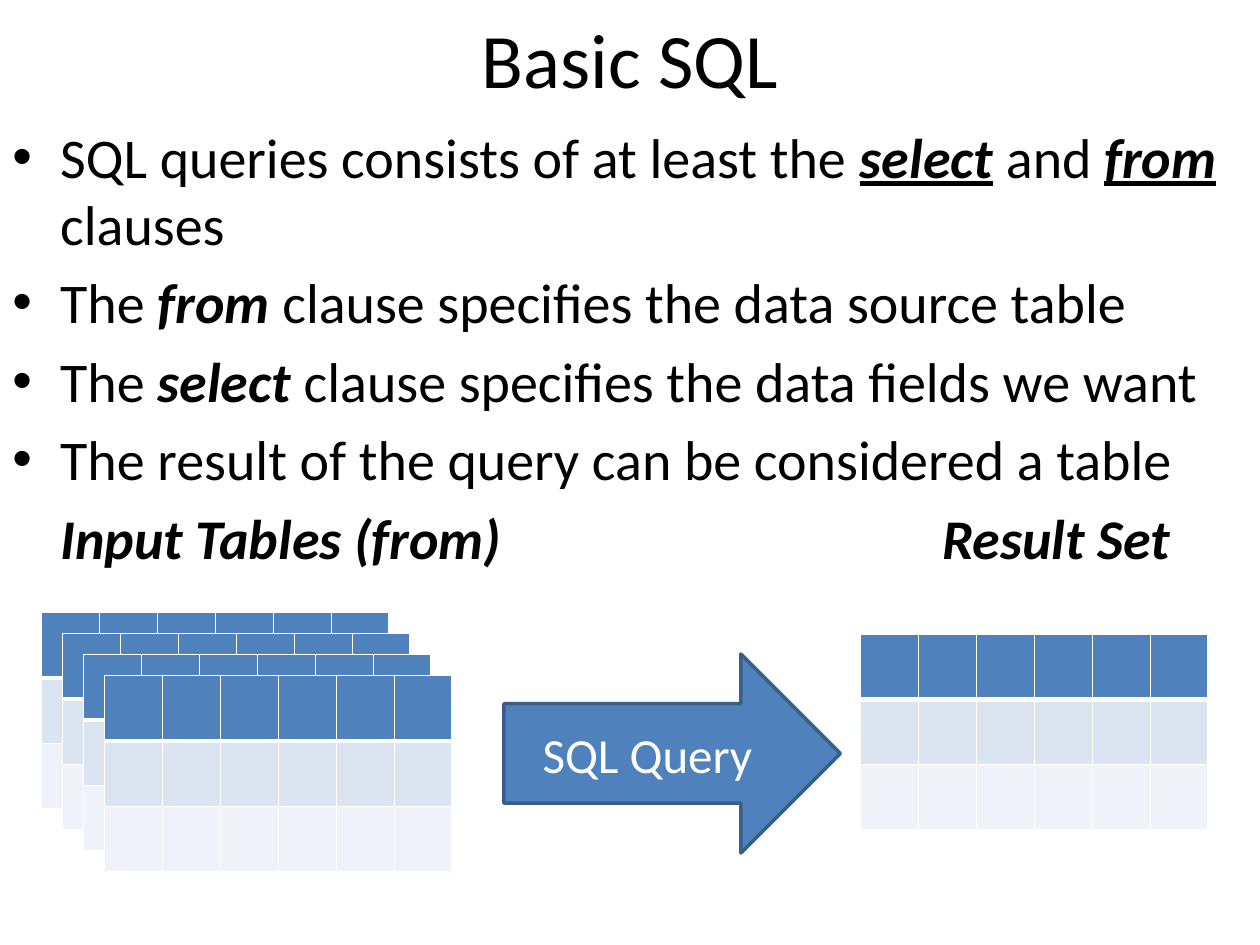
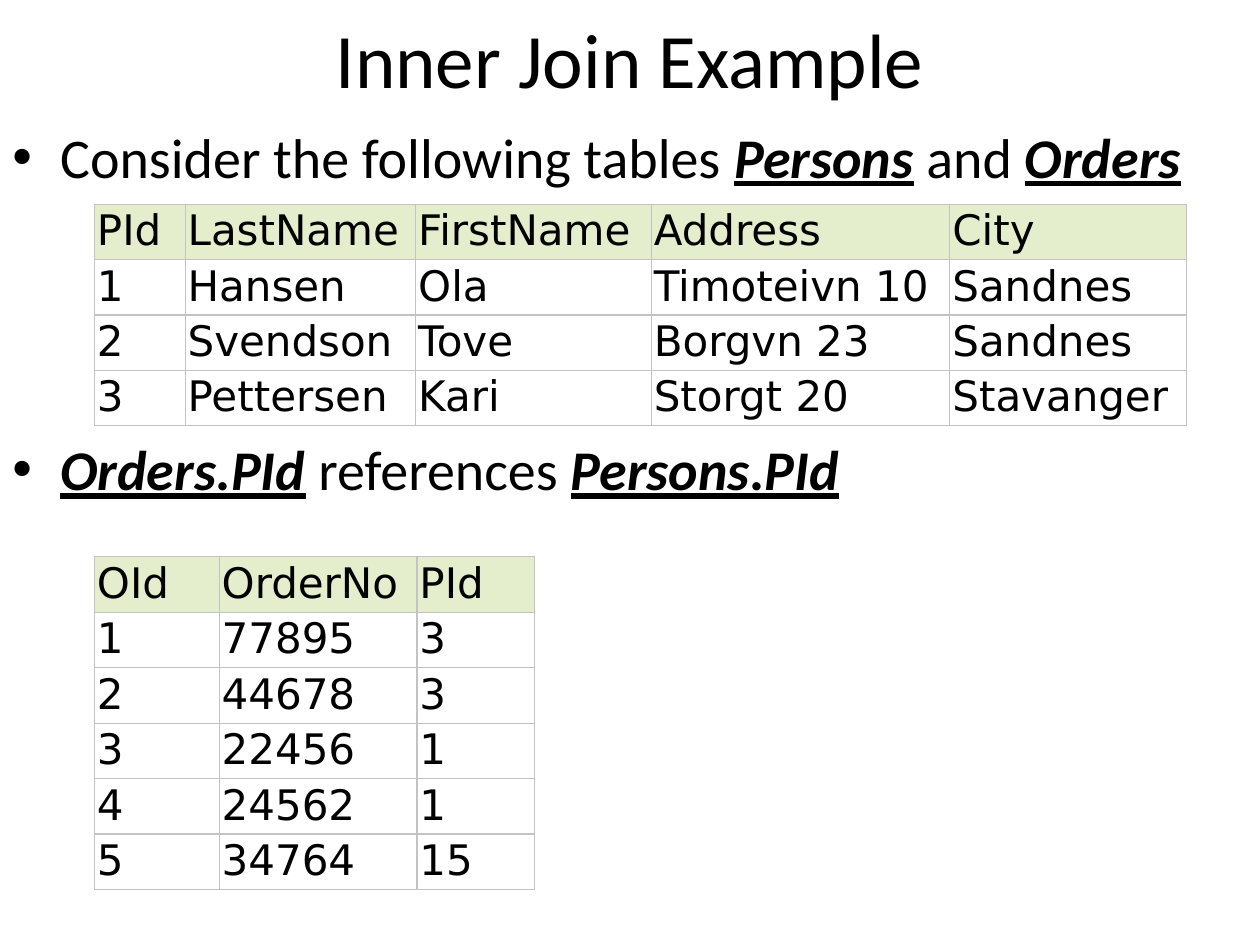
from lxml import etree
from pptx import Presentation
from pptx.dml.color import RGBColor
from pptx.enum.shapes import MSO_SHAPE
from pptx.enum.text import MSO_ANCHOR, PP_ALIGN
from pptx.oxml.ns import qn
from pptx.util import Inches, Pt

RIGHT_ARROW = MSO_SHAPE.RIGHT_ARROW
MIDDLE, TOP = MSO_ANCHOR.MIDDLE, MSO_ANCHOR.TOP
CENTER, LEFT = PP_ALIGN.CENTER, PP_ALIGN.LEFT

COLORS = {"text": "000000", "white": "FFFFFF", "accent": "4F81BD",
          "accent_line": "395E8A", "band": "DBE5F1", "band_light": "EFF3F9",
          "head_green": "E5EECC", "grid": "C3C3C3"}

TITLE_BOX = (0, 0, 10, 0.92)
BODY_BOX = (0, 0.92, 10, 6.58)
INDENT = 0.38
PARA_GAP = 6.4

# Text formats
TITLE = {"size": Pt(44), "name": "Calibri"}
BODY = {"size": Pt(32), "name": "Calibri"}
ARROW = {"size": Pt(28), "name": "Calibri"}
CELL = {"size": Pt(24), "name": "DejaVu Sans"}
STRONG = {"bold": True, "italic": True}
KEY = {**STRONG, "underline": True}

PERSONS = [["PId", "LastName", "FirstName", "Address", "City"],
           ["1", "Hansen", "Ola", "Timoteivn 10", "Sandnes"],
           ["2", "Svendson", "Tove", "Borgvn 23", "Sandnes"],
           ["3", "Pettersen", "Kari", "Storgt 20", "Stavanger"]]
ORDERS = [["OId", "OrderNo", "PId"],
          ["1", "77895", "3"],
          ["2", "44678", "3"],
          ["3", "22456", "1"],
          ["4", "24562", "1"],
          ["5", "34764", "15"]]


def rgb(name):
    return RGBColor.from_string(COLORS[name])


def inches(box):
    return [Inches(v) for v in box]


def add_run(p, text, fmt, color="text"):
    r = p.add_run()
    r.text = text
    for key, value in fmt.items():
        setattr(r.font, key, value)
    r.font.color.rgb = rgb(color)


def add_element(parent, tag, **attrs):
    return etree.SubElement(parent, qn(tag), {k: str(v) for k, v in attrs.items()})


def add_slide(prs, title):
    """Title-only slide with the shared title style."""
    s = prs.slides.add_slide(prs.slide_layouts[5])
    sp = s.shapes.title
    sp.left, sp.top, sp.width, sp.height = inches(TITLE_BOX)
    tf = sp.text_frame
    tf.vertical_anchor = MIDDLE
    p = tf.paragraphs[0]
    p.alignment = CENTER
    add_run(p, title, TITLE)
    return s


def set_bullet(p):
    pPr = p._p.get_or_add_pPr()
    pPr.set("marL", str(Inches(INDENT)))
    pPr.set("indent", str(-Inches(INDENT)))
    add_element(add_element(pPr, "a:buClr"), "a:srgbClr", val=COLORS["text"])
    add_element(pPr, "a:buFont", typeface="Arial")
    add_element(pPr, "a:buChar", char="•")


def set_tabs(p, stops):
    tabs = add_element(p._p.get_or_add_pPr(), "a:tabLst")
    for stop in stops:
        add_element(tabs, "a:tab", pos=Inches(stop), algn="l")


def add_body(s, box, bullets, gap=PARA_GAP):
    """Bulleted text; each bullet is a list of (text, format) runs."""
    tf = s.shapes.add_textbox(*inches(box)).text_frame
    tf.word_wrap = True
    tf.vertical_anchor = TOP
    for i, runs in enumerate(bullets):
        p = tf.add_paragraph() if i else tf.paragraphs[0]
        set_bullet(p)
        p.alignment = LEFT
        if i:
            p.space_before = Pt(gap)
        for text, fmt in runs:
            add_run(p, text, {**BODY, **fmt})
    return tf


def set_border(cell, color, widths):
    """Draw left, right, top and bottom borders, widths in points."""
    tcPr = cell._tc.get_or_add_tcPr()
    for side, width in zip("LRTB", widths):
        ln = add_element(tcPr, f"a:ln{side}", w=Pt(width))
        add_element(add_element(ln, "a:solidFill"), "a:srgbClr", val=COLORS[color])


def add_grid(s, left, top, cols, row_height, n_rows):
    """Unstyled table at the given corner."""
    box = (left, top, sum(cols), row_height * n_rows)
    table = s.shapes.add_table(n_rows, len(cols), *inches(box)).table
    table.first_row = table.horz_banding = False
    for column, width in zip(table.columns, cols):
        column.width = Inches(width)
    for row in table.rows:
        row.height = Inches(row_height)
    return table


def fill_cell(cell, color):
    cell.fill.solid()
    cell.fill.fore_color.rgb = rgb(color)


def add_table_icon(s, left, top):
    """Empty banded table standing for any data table."""
    fills = ["accent", "band", "band_light"]
    table = add_grid(s, left, top, [0.46] * 6, 0.52, len(fills))
    for i, (row, fill) in enumerate(zip(table.rows, fills)):
        for cell in row.cells:
            set_border(cell, "white", (1, 1, 3 if i == 1 else 1, 1 if i else 3))
            fill_cell(cell, fill)


def add_data_table(s, left, top, cols, data):
    """Data table with a green header row."""
    table = add_grid(s, left, top, cols, 0.33, len(data))
    for i, (row, values) in enumerate(zip(table.rows, data)):
        for cell, value in zip(row.cells, values):
            for side in ("left", "right", "top", "bottom"):
                setattr(cell, f"margin_{side}", Inches(0.02))
            set_border(cell, "grid", [0.75] * 4)
            fill_cell(cell, "white" if i else "head_green")
            add_run(cell.text_frame.paragraphs[0], value, CELL)


def add_query_arrow(s, box, text):
    sp = s.shapes.add_shape(RIGHT_ARROW, *inches(box))
    sp.shadow.inherit = False
    sp.fill.solid()
    sp.fill.fore_color.rgb = rgb("accent")
    sp.line.color.rgb = rgb("accent_line")
    sp.line.width = Pt(2)
    tf = sp.text_frame
    tf.word_wrap = True
    tf.vertical_anchor = MIDDLE
    p = tf.paragraphs[0]
    p.alignment = CENTER
    add_run(p, text, ARROW, "white")


def basic_sql_slide(prs):
    s = add_slide(prs, "Basic SQL")
    tf = add_body(s, BODY_BOX, [
        [("SQL queries consists of at least the ", {}), ("select", KEY),
         (" and ", {}), ("from", KEY), (" clauses", {})],
        [("The ", {}), ("from", STRONG),
         (" clause specifies the data source table", {})],
        [("The ", {}), ("select", STRONG),
         (" clause specifies the data fields we want", {})],
        [("The result of the query can be considered a table", {})]])

    # Captions over the diagram
    p = tf.add_paragraph()
    set_tabs(p, [INDENT, INDENT + 7])
    p.space_before = Pt(PARA_GAP)
    add_run(p, "\tInput Tables (from)\tResult Set", {**BODY, **STRONG})

    # Stack of input tables, query arrow, result table
    step = 1 / 6
    for i in range(4):
        add_table_icon(s, 0.33 + i * step, 4.86 + i * step)
    add_table_icon(s, 6.83, 5.03)
    add_query_arrow(s, (4, 5.19, 2.67, 1.58), "SQL Query")


def inner_join_slide(prs):
    s = add_slide(prs, "Inner Join Example")
    # The gap between the bullets leaves room for the first table
    add_body(s, BODY_BOX, [
        [("Consider the following tables ", {}), ("Persons", KEY),
         (" and ", {}), ("Orders", KEY)],
        [("Orders.PId", KEY), (" references ", {}), ("Persons.PId", KEY)]],
        gap=140)
    add_data_table(s, 0.75, 1.62, [0.72, 1.83, 1.87, 2.37, 1.88], PERSONS)
    add_data_table(s, 0.75, 4.42, [0.99, 1.57, 0.93], ORDERS)


def main():
    prs = Presentation()
    prs.slide_width, prs.slide_height = Inches(10), Inches(7.5)
    basic_sql_slide(prs)
    inner_join_slide(prs)
    prs.save("out.pptx")


if __name__ == "__main__":
    main()
